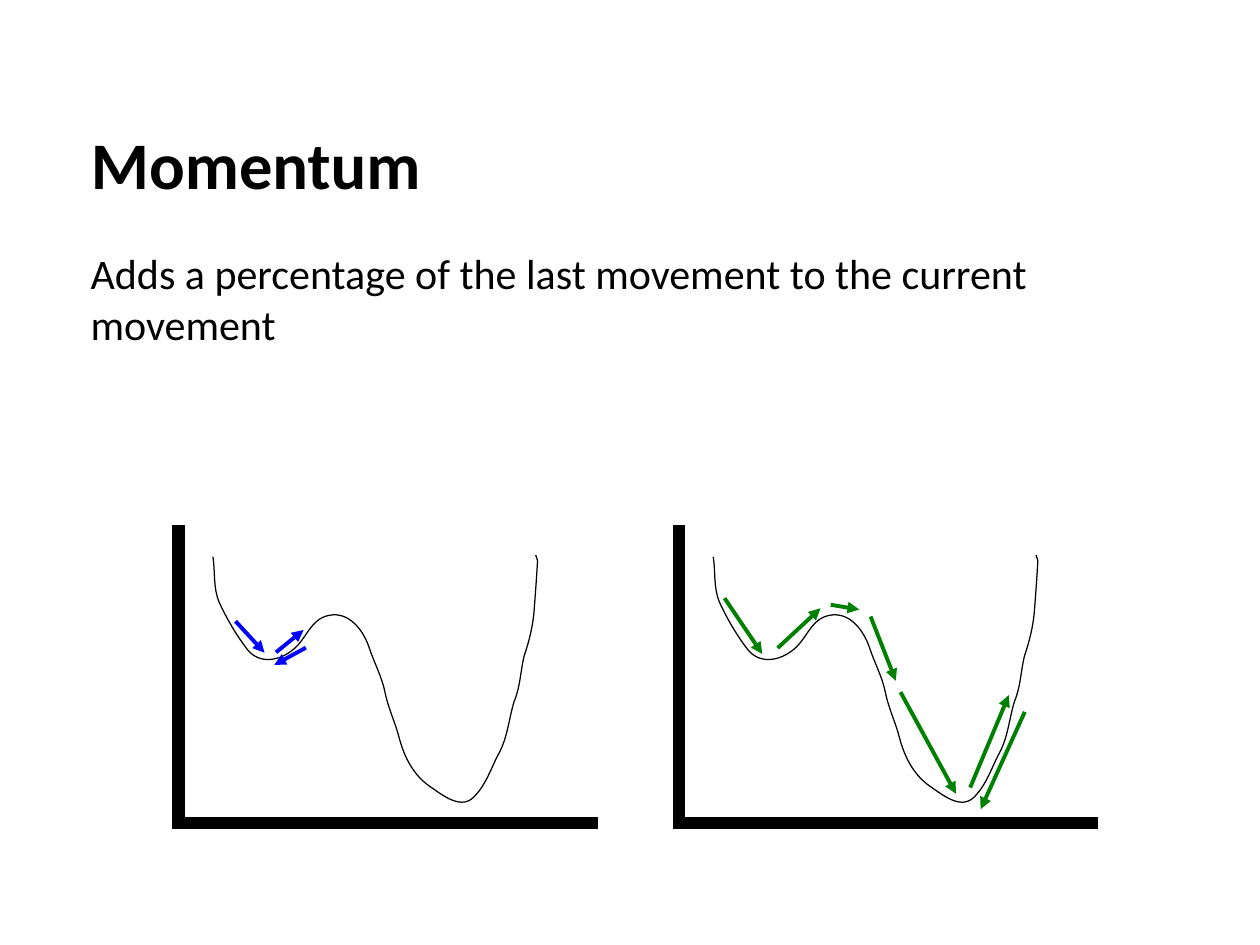
from lxml.etree import SubElement
from pptx import Presentation
from pptx.dml.color import RGBColor
from pptx.enum.shapes import MSO_CONNECTOR
from pptx.enum.text import MSO_ANCHOR, PP_ALIGN
from pptx.oxml.ns import qn
from pptx.util import Pt

COLORS = {"ink": "000000", "short": "0000FF", "long": "008000"}
GAP = 285.9  # from the left plot to the right plot

# Error curve of the left plot: each row has two control points and an end
START = (121.7, 318.2)
CURVES = [
    (123.1, 326.9, 121.7, 335.5, 125.3, 344.2),
    (129.6, 353.5, 134.6, 362.2, 141.1, 370.8),
    (147.6, 379.4, 158.4, 378, 166.3, 372.2),
    (175.7, 365.8, 177.1, 352.4, 190.1, 351.4),
    (200.9, 350.6, 208.1, 361.4, 211, 370.1),
    (213.8, 378.7, 218.2, 386.6, 220, 395.3),
    (221.8, 404.6, 226.1, 413.3, 228.2, 421.9),
    (231.1, 432.7, 236.2, 442.8, 245.5, 449.3),
    (252, 453.6, 262.8, 463, 270.5, 455.8),
    (277.9, 448.6, 280.8, 438.5, 285.1, 430.6),
    (290.2, 421.2, 290.9, 410.4, 293.8, 401),
    (297.4, 392.4, 297.4, 383.8, 299.5, 375.1),
    (302.4, 366.5, 304.6, 357.8, 305.3, 348.5),
    (306, 339.1, 306.7, 329.8, 307.2, 320.4),
]
END = (306.2, 317.2)

AXES = [(102, 300, 102, 473.8), (101.2, 470.3, 341.6, 470.3)]
MOVES = {
    "short": [
        (134.6, 355, 151.2, 373),
        (157.7, 372.8, 173.5, 360),
        (174.8, 370.1, 156.7, 380),
    ],
    "long": [
        (414, 341.8, 435.6, 373.7),
        (444.4, 370.3, 468.9, 347.6),
        (474.7, 345.6, 491, 348.3),
        (497.5, 352.3, 511.9, 389),
        (514.6, 395.5, 546.3, 453.6),
        (554.4, 450, 576.5, 397.2),
        (585.6, 406.8, 560.4, 462.4),
    ],
}

deck = Presentation()
deck.slide_width, deck.slide_height = Pt(720), Pt(540)
slide = deck.slides.add_slide(deck.slide_layouts[1])
shapes = slide.shapes


def add_text(holder, box, words, size, bold):
    holder.left, holder.top, holder.width, holder.height = map(Pt, box)
    para = holder.text_frame.paragraphs[0]
    para.alignment = PP_ALIGN.LEFT
    run = para.add_run()
    run.text = words
    font = run.font
    font.name, font.size, font.bold = "Calibri", Pt(size), bold
    font.color.rgb = RGBColor.from_string(COLORS["ink"])
    return para


def add_line(ends, color, width, arrow=False):
    line = shapes.add_connector(MSO_CONNECTOR.STRAIGHT, *map(Pt, ends))
    line.line.color.rgb = RGBColor.from_string(COLORS[color])
    line.line.width = Pt(width)
    props = line.element.spPr
    if arrow:
        SubElement(props.find(qn("a:ln")), qn("a:tailEnd"), type="triangle")
    SubElement(props, qn("a:effectLst"))


# Title and body
title = shapes.title
add_text(title, (44.75, 23.5, 630, 96), "Momentum", 38, True)
title.text_frame.vertical_anchor = MSO_ANCHOR.BOTTOM
para = add_text(
    slide.placeholders[1], (44.6, 138, 630, 387),
    "Adds a percentage of the last movement to the current movement", 24, False,
)
props = para._p.get_or_add_pPr()
props.set("marL", "0")
props.set("indent", "0")
SubElement(props, qn("a:buNone"))

points = [START]
for row in CURVES:
    points += zip(row[::2], row[1::2])
points.append(END)

# Two equal plots
for shift in (0, GAP):
    track = [(Pt(x + shift), Pt(y)) for x, y in points]
    pen = shapes.build_freeform(*track[0])
    pen.add_line_segments(track[1:], close=False)
    curve = pen.convert_to_shape()
    curve.shadow.inherit = False
    curve.fill.background()
    curve.line.color.rgb = RGBColor.from_string(COLORS["ink"])
    curve.line.width = Pt(0.71)
    # Turn each three segments into one Bézier curve; the last stays straight
    parts = list(curve.element.iter(qn("a:lnTo")))
    for i in range(0, 3 * len(CURVES), 3):
        trio = parts[i:i + 3]
        bend = trio[0].makeelement(qn("a:cubicBezTo"))
        trio[0].addprevious(bend)
        for part in trio:
            bend.append(part[0])
            part.getparent().remove(part)
    for x1, y1, x2, y2 in AXES:
        add_line((x1 + shift, y1, x2 + shift, y2), "ink", 7.2)

# Moves without and with momentum
for color, moves in MOVES.items():
    for ends in moves:
        add_line(ends, color, 2.25, arrow=True)

deck.save("out.pptx")
